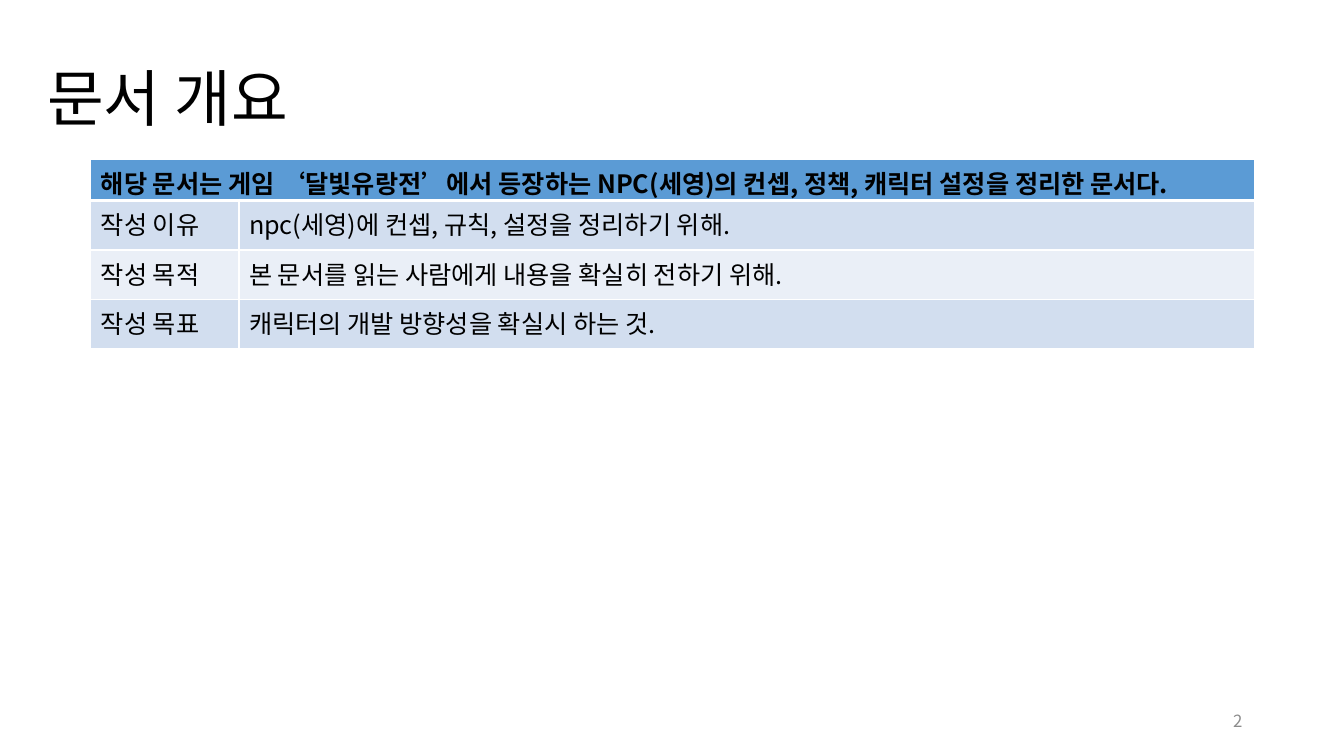
import lxml.etree
import pptx
import pptx.dml.color
import pptx.enum.text
import pptx.oxml.ns
import pptx.util

Inches = pptx.util.Inches
RGBColor = pptx.dml.color.RGBColor
Alignment = pptx.enum.text.PP_ALIGN
qn = pptx.oxml.ns.qn

FONT = "Noto Sans CJK KR"
BLACK = RGBColor(0x00, 0x00, 0x00)
WHITE = RGBColor(0xFF, 0xFF, 0xFF)
GRAY = RGBColor(0x8C, 0x8C, 0x8C)
HEADER_BLUE = RGBColor(0x5B, 0x9B, 0xD5)
BAND_FILLS = (RGBColor(0xD2, 0xDE, 0xEF), RGBColor(0xEA, 0xEF, 0xF7))

SUMMARY = "해당 문서는 게임 ‘달빛유랑전’에서 등장하는 NPC(세영)의 컨셉, 정책, 캐릭터 설정을 정리한 문서다."
DETAILS = (
    ("작성 이유", "npc(세영)에 컨셉, 규칙, 설정을 정리하기 위해."),
    ("작성 목적", "본 문서를 읽는 사람에게 내용을 확실히 전하기 위해."),
    ("작성 목표", "캐릭터의 개발 방향성을 확실시 하는 것."),
)
COLUMN_WIDTHS = (1.47, 10.07)
HEADER_HEIGHT = 0.41
DETAIL_HEIGHT = 0.49


def write_text(frame, text, size, color, bold=False):
    """Fill a text frame with one styled paragraph and return it."""
    frame.text = text
    para = frame.paragraphs[0]
    for span in para.runs:
        span.font.size = pptx.util.Pt(size)
        span.font.name = FONT
        span.font.bold = bold
        span.font.color.rgb = color
        east_asian = lxml.etree.SubElement(span.font._element, qn("a:ea"))
        east_asian.set("typeface", FONT)
    return para


def add_label(page, box, text, size, color):
    """Add a vertically centred text box and return its paragraph."""
    label = page.shapes.add_textbox(*map(Inches, box))
    label.text_frame.word_wrap = True
    label.text_frame.vertical_anchor = pptx.enum.text.MSO_ANCHOR.MIDDLE
    return write_text(label.text_frame, text, size, color)


def add_title(page, box):
    """Add the slide title."""
    add_label(page, box, "문서 개요", 44, BLACK).line_spacing = 0.9


def add_page_number(page, box):
    """Add the page number at the right of its box."""
    add_label(page, box, "2", 12, GRAY).alignment = Alignment.RIGHT


def style_cell(cell, fill, bottom_width=1):
    """Give a cell white borders and a solid fill."""
    cell.fill.solid()
    cell.fill.fore_color.rgb = fill
    properties = cell._tc.get_or_add_tcPr()
    widths = {"a:lnL": 1, "a:lnR": 1, "a:lnT": 1, "a:lnB": bottom_width}
    for position, (side, width) in enumerate(widths.items()):
        line = lxml.etree.Element(qn(side), w=str(pptx.util.Pt(width)))
        solid = lxml.etree.SubElement(line, qn("a:solidFill"))
        lxml.etree.SubElement(solid, qn("a:srgbClr"), val=str(WHITE))
        properties.insert(position, line)


def add_overview_table(page, box):
    """Add the summary row and the banded rows of details."""
    table = page.shapes.add_table(
        len(DETAILS) + 1, len(COLUMN_WIDTHS), *map(Inches, box)
    ).table
    for column, width in zip(table.columns, COLUMN_WIDTHS):
        column.width = Inches(width)
    for row in table.rows:
        row.height = Inches(DETAIL_HEIGHT)
    table.rows[0].height = Inches(HEADER_HEIGHT)

    header = table.cell(0, 0)
    header.merge(table.cell(0, 1))
    for cell in table.rows[0].cells:
        style_cell(cell, HEADER_BLUE, bottom_width=3)
    write_text(header.text_frame, SUMMARY, 18, BLACK, bold=True)

    for index, detail in enumerate(DETAILS):
        for column, text in enumerate(detail):
            cell = table.cell(index + 1, column)
            style_cell(cell, BAND_FILLS[index % 2])
            write_text(cell.text_frame, text, 18, BLACK)


def main():
    """Build the document overview slide."""
    deck = pptx.Presentation()
    deck.slide_width = Inches(13.33)
    deck.slide_height = Inches(7.5)
    page = deck.slides.add_slide(deck.slide_layouts[6])
    add_title(page, (0.37, 0.42, 12.6, 1.17))
    add_overview_table(page, (0.9, 1.58, 11.54, 1.88))
    add_page_number(page, (9.42, 6.95, 3, 0.4))
    deck.save("out.pptx")


if __name__ == "__main__":
    main()
